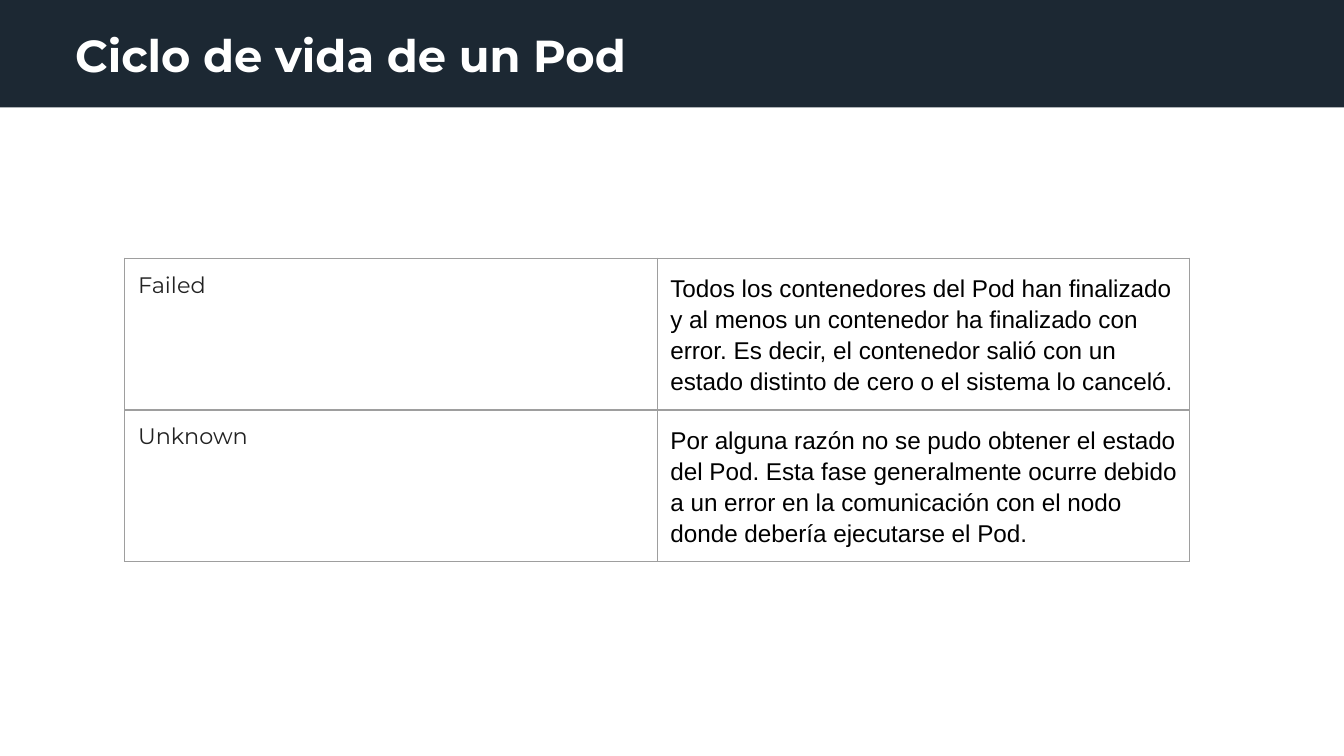
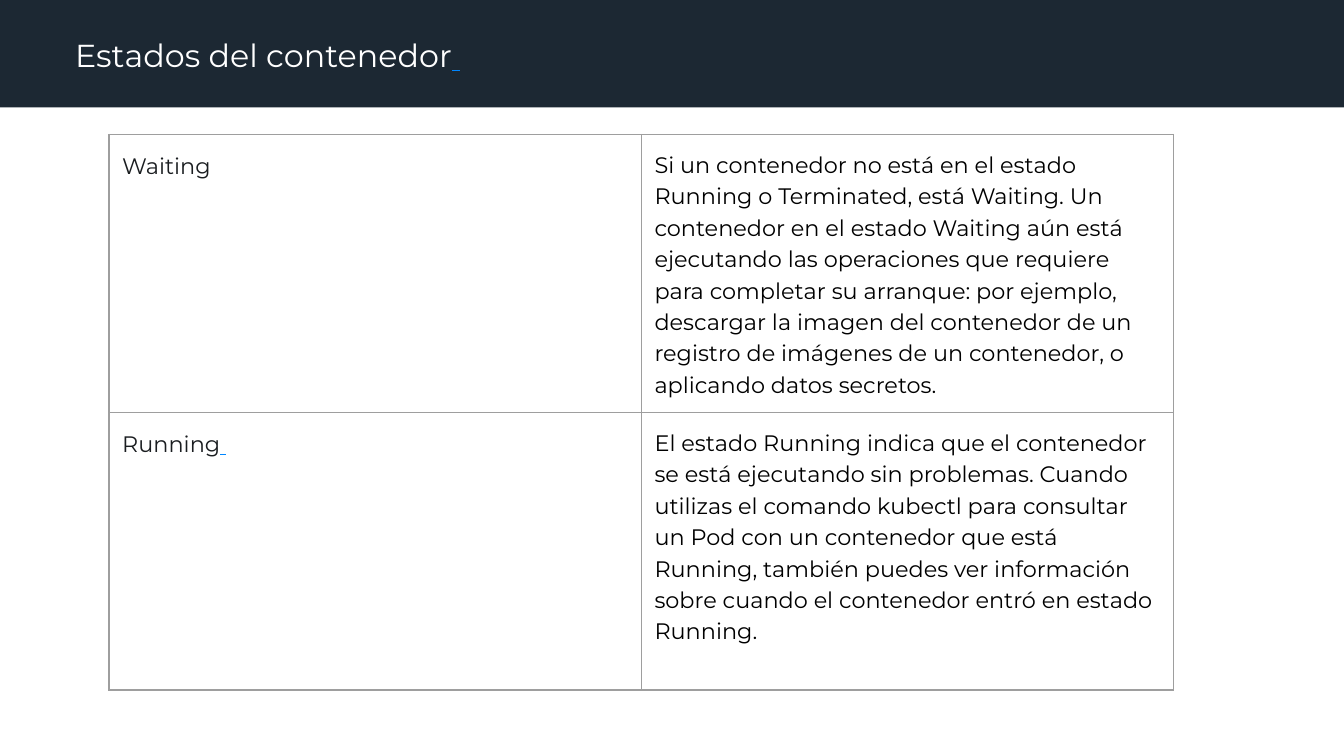
from dataclasses import dataclass

from lxml.etree import SubElement
from pptx import Presentation
from pptx.dml.color import RGBColor
from pptx.enum.shapes import MSO_SHAPE as Shape
from pptx.enum.text import MSO_ANCHOR as Anchor, MSO_AUTO_SIZE as AutoSize, PP_ALIGN as Align
from pptx.oxml.ns import qn
from pptx.util import Cm, Pt

COLORS = {
    "band": "1C2833",
    "title": "FFFFFF",
    "phase": "222222",
    "state": "1A1D20",
    "body": "000000",
    "link": "0086FF",
    "border": "9E9E9E",
}
SLIDE_WIDTH, SLIDE_HEIGHT = Cm(25.4), Cm(14.29)
BAND_HEIGHT = Cm(2.03)
COLUMN_WIDTH = Cm(10.06)
CELL_MARGIN = Cm(0.25)
BORDER_WIDTH = Pt(0.75)
TITLE_ONLY = 5


@dataclass(frozen=True)
class TextStyle:
    size: float
    color: str
    font: str = "Montserrat"
    bold: bool = False
    line_spacing: float = 1.0


@dataclass(frozen=True)
class Label:
    text: str
    linked_space: bool = False  # ends in an underlined space in the link colour


@dataclass(frozen=True)
class StateSlide:
    title: Label
    title_style: TextStyle
    left: Cm
    top: Cm
    row_height: Cm
    name_style: TextStyle
    body_style: TextStyle
    rows: tuple[tuple[Label, Label], ...]


SLIDES = (
    StateSlide(
        title=Label("Ciclo de vida de un Pod"),
        title_style=TextStyle(24, "title", bold=True),
        left=Cm(2.36), top=Cm(4.88), row_height=Cm(2.87),
        name_style=TextStyle(12, "phase"),
        body_style=TextStyle(13, "body", font="Arial", line_spacing=1.15),
        rows=(
            (Label("Failed"), Label(
                "Todos los contenedores del Pod han finalizado y al menos un contenedor ha "
                "finalizado con error. Es decir, el contenedor salió con un estado distinto "
                "de cero o el sistema lo canceló.")),
            (Label("Unknown"), Label(
                "Por alguna razón no se pudo obtener el estado del Pod. Esta fase "
                "generalmente ocurre debido a un error en la comunicación con el nodo donde "
                "debería ejecutarse el Pod.")),
        ),
    ),
    StateSlide(
        title=Label("Estados del contenedor", linked_space=True),
        title_style=TextStyle(17, "title", line_spacing=1.2),
        left=Cm(2.06), top=Cm(2.54), row_height=Cm(5.25),
        name_style=TextStyle(12, "state", line_spacing=1.2),
        body_style=TextStyle(12, "body", line_spacing=1.15),
        rows=(
            (Label("Waiting"), Label(
                "Si un contenedor no está en el estado Running o Terminated, está Waiting. "
                "Un contenedor en el estado Waiting aún está ejecutando las operaciones que "
                "requiere para completar su arranque: por ejemplo, descargar la imagen del "
                "contenedor de un registro de imágenes de un contenedor, o aplicando datos "
                "secretos.")),
            (Label("Running", linked_space=True), Label(
                "El estado Running indica que el contenedor se está ejecutando sin "
                "problemas. Cuando utilizas el comando kubectl para consultar un Pod con un "
                "contenedor que está Running, también puedes ver información sobre cuando el "
                "contenedor entró en estado Running.")),
        ),
    ),
)


def rgb(name: str) -> RGBColor:
    return RGBColor.from_string(COLORS[name])


def write_label(frame, label: Label, style: TextStyle) -> None:
    para = frame.paragraphs[0]
    para.alignment = Align.LEFT
    para.line_spacing = style.line_spacing
    para.space_before = Pt(0)
    para.font.name = style.font
    para.font.size = Pt(style.size)
    para.font.bold = style.bold
    para.font.color.rgb = rgb(style.color)
    para.add_run().text = label.text
    if label.linked_space:
        span = para.add_run()
        span.text = " "
        span.font.underline = True
        span.font.color.rgb = rgb("link")


def add_header(page, label: Label, style: TextStyle) -> None:
    title = page.shapes.title
    band = page.shapes.add_shape(Shape.RECTANGLE, 0, 0, SLIDE_WIDTH, BAND_HEIGHT)
    band.shadow.inherit = False
    band.fill.solid()
    band.fill.fore_color.rgb = rgb("band")
    band.line.fill.background()
    title.element.addprevious(band.element)  # keeps the band behind the title

    title.left, title.top = Cm(1.42), Cm(0.53)
    title.width, title.height = Cm(23.04), Cm(0.99)
    frame = title.text_frame
    frame.margin_left = frame.margin_top = frame.margin_right = frame.margin_bottom = 0
    frame.vertical_anchor = Anchor.TOP
    frame.auto_size = AutoSize.NONE
    frame.word_wrap = True
    write_label(frame, label, style)


def outline_cell(cell) -> None:
    properties = cell._tc.get_or_add_tcPr()
    for side in ("a:lnL", "a:lnR", "a:lnT", "a:lnB"):
        line = SubElement(properties, qn(side), w=str(BORDER_WIDTH))
        fill = SubElement(line, qn("a:solidFill"))
        SubElement(fill, qn("a:srgbClr"), val=COLORS["border"])


def add_state_table(page, content: StateSlide) -> None:
    row_count = len(content.rows)
    table = page.shapes.add_table(
        row_count, 2, content.left, content.top,
        2 * COLUMN_WIDTH, row_count * content.row_height,
    ).table
    table.first_row = table.horz_banding = False
    for column in table.columns:
        column.width = COLUMN_WIDTH
    styles = (content.name_style, content.body_style)
    for row, labels in zip(table.rows, content.rows):
        row.height = content.row_height
        for cell, label, style in zip(row.cells, labels, styles):
            cell.margin_left = cell.margin_right = CELL_MARGIN
            cell.margin_top = cell.margin_bottom = CELL_MARGIN
            outline_cell(cell)
            cell.fill.background()
            write_label(cell.text_frame, label, style)


def main() -> None:
    deck = Presentation()
    deck.slide_width, deck.slide_height = SLIDE_WIDTH, SLIDE_HEIGHT
    for content in SLIDES:
        page = deck.slides.add_slide(deck.slide_layouts[TITLE_ONLY])
        add_header(page, content.title, content.title_style)
        add_state_table(page, content)
    deck.save("out.pptx")


if __name__ == "__main__":
    main()
